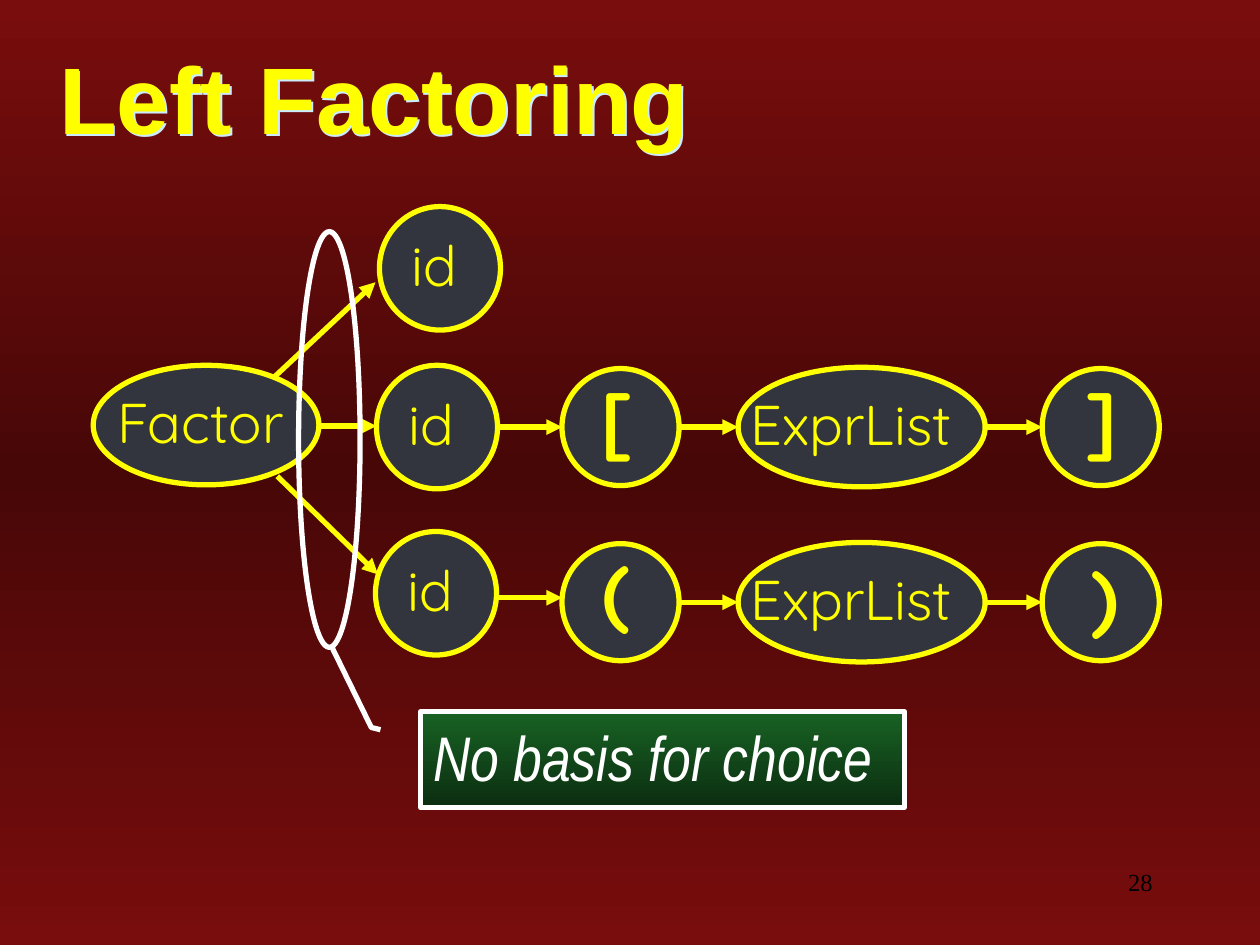
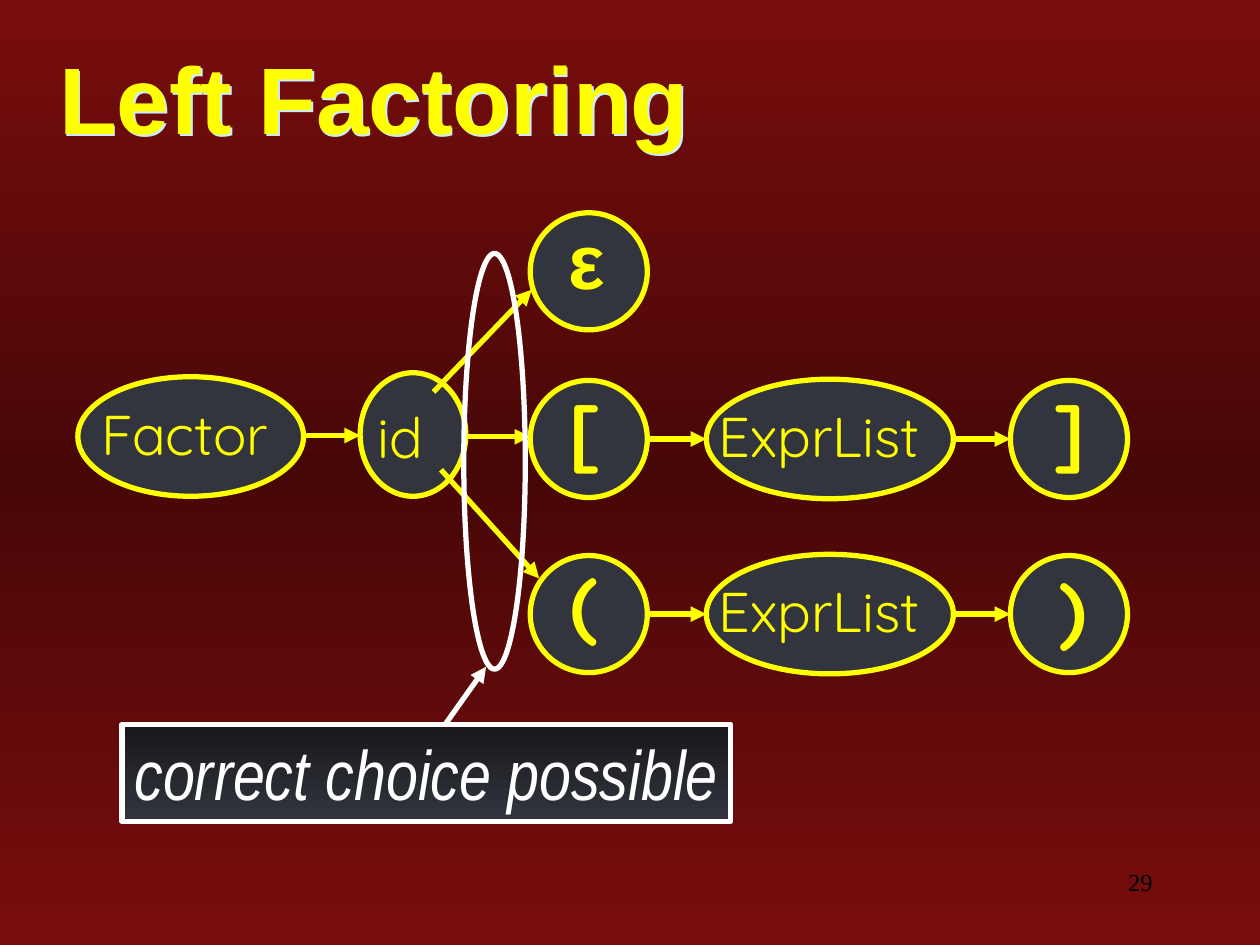
from lxml import etree
from pptx import Presentation
from pptx.dml.color import RGBColor
from pptx.enum.shapes import MSO_CONNECTOR, MSO_SHAPE
from pptx.enum.text import MSO_ANCHOR, MSO_AUTO_SIZE, PP_ALIGN
from pptx.oxml.ns import qn
from pptx.util import Cm, Pt

OVAL, RECT, CALLOUT = MSO_SHAPE.OVAL, MSO_SHAPE.RECTANGLE, MSO_SHAPE.LINE_CALLOUT_2
STRAIGHT = MSO_CONNECTOR.STRAIGHT
LEFT, RIGHT = PP_ALIGN.LEFT, PP_ALIGN.RIGHT
TOP, MIDDLE = MSO_ANCHOR.TOP, MSO_ANCHOR.MIDDLE
NO_FIT = MSO_AUTO_SIZE.NONE

YELLOW, WHITE, BLACK, SLATE = "FFFF00", "FFFFFF", "000000", "32353E"
TITLE_SHADOW = "CCECFF"
BACKGROUND = ["790D0D", "480707", "790D0D"]
GREEN_FADE = ["186224", "0B2D10"]
SLATE_FADE = ["17181C", SLATE]
CHOICE_SIZE = (1.24, 8.38)

# All lengths are in cm.
# kind: label, node width and height, label offset from the node's corner,
# label width, font, size, bold
KINDS = {
    "Factor": ("Factor", 4.55, 2.41, 0.23, 0.33, 5.59, "Quicksand", 32, False),
    "ExprList": ("ExprList", 4.98, 2.41, 0, 0.33, 5.59, "Quicksand", 32, False),
    "id": ("id", 2.44, 2.49, 0.4, 0.36, 2.77, "Quicksand", 32, False),
    "narrow id": ("id", 2.13, 2.49, 0.1, 0.48, 6.5, "Quicksand", 32, False),
    "[": ("[", 2.36, 2.36, 0.53, -0.08, 1.7, "Quicksand", 44, True),
    "]": ("]", 2.36, 2.36, 0.64, -0.08, 1.7, "Quicksand", 44, True),
    "(": ("(", 2.36, 2.36, 0.56, -0.13, 1.45, "Quicksand", 44, True),
    ")": (")", 2.36, 2.36, 0.74, -0.03, 1.45, "Quicksand", 44, True),
    "ε": ("ε", 2.36, 2.36, 0.53, -0.13, 1.35, "Arial", 44, True),
}


def bracketed(opening, closing, x, y):
    """Nodes for an ExprList between two brackets, centred on height y."""
    return [(opening, x, y), ("ExprList", x + 3.55, y), (closing, x + 9.68, y)]


# A chain is a row of nodes (kind, left, centre height) joined by arrows.
SLIDES = [
    {
        "title": "Left Factoring",
        "number": "28",
        "chains": [
            [("id", 7.65, 5.41)],
            [("Factor", 1.88, 8.57), ("id", 7.59, 8.61),
             *bracketed("[", "]", 11.33, 8.61)],
            [("id", 7.57, 11.96), *bracketed("(", ")", 11.33, 12.14)],
        ],
        "branches": [(5.54, 7.59, 7.57, 5.69), (5.59, 9.6, 7.62, 11.58)],
        "choice": (6.02, 4.67),
        "remark": ("No basis for choice", CALLOUT, (8.48, 14.35, 9.75, 1.93),
                   GREEN_FADE, 36),
        "callout": (0.188, -0.083, 0.164, -0.102, -0.671, -0.183),
    },
    {
        "title": "Left Factoring",
        "number": "29",
        "chains": [
            [("ε", 10.69, 5.47)],
            [("Factor", 1.57, 8.8), ("narrow id", 7.26, 8.76),
             *bracketed("[", "]", 10.69, 8.85)],
            bracketed("(", ")", 10.69, 12.38),
        ],
        "branches": [(8.74, 7.9, 10.72, 5.84), (8.89, 9.47, 10.87, 11.66)],
        "choice": (9.35, 5.11),
        "remark": ("correct choice possible", RECT, (2.46, 14.6, 12.27, 1.96),
                   SLATE_FADE, 40),
        "pointer": (8.99, 14.58, 9.8, 13.44),
    },
]


def rgb(colour):
    return RGBColor.from_string(colour)


def cm(*lengths):
    return [Cm(n) for n in lengths]


def fade(fill, element, colours):
    """Fill from top to bottom with evenly spaced colours."""
    fill.gradient()
    fill.gradient_angle = 270
    stops = element.find(".//" + qn("a:gsLst"))
    for stop in list(stops):
        stops.remove(stop)
    for i, colour in enumerate(colours):
        stop = etree.SubElement(stops, qn("a:gs"),
                                pos=str(100000 * i // (len(colours) - 1)))
        etree.SubElement(stop, qn("a:srgbClr"), val=colour)


def write(s, text, font, size, colour, bold=False, italic=False,
          align=LEFT, anchor=TOP, wrap=True):
    tf = s.text_frame
    tf.text = text
    tf.word_wrap = wrap
    tf.auto_size = NO_FIT
    tf.vertical_anchor = anchor
    p = tf.paragraphs[0]
    p.alignment = align
    p.font.name = font
    p.font.size = Pt(size)
    p.font.bold = bold
    p.font.italic = italic
    p.font.color.rgb = rgb(colour)


def add_outlined(sp, preset, box, colour):
    s = sp.add_shape(preset, *cm(*box))
    s.shadow.inherit = False
    s.line.color.rgb = rgb(colour)
    s.line.width = Pt(3)
    return s


def add_arrow(sp, ends, colour=YELLOW):
    c = sp.add_connector(STRAIGHT, *cm(*ends))
    c.line.color.rgb = rgb(colour)
    c.line.width = Pt(3)
    props = c.element.spPr
    etree.SubElement(props.find(qn("a:ln")), qn("a:tailEnd"), type="triangle")
    etree.SubElement(props, qn("a:effectLst"))


def add_node(sp, kind, left, centre):
    label, w, h, dx, dy, label_w, font, size, bold = KINDS[kind]
    top = centre - h / 2
    s = add_outlined(sp, OVAL, (left, top, w, h), YELLOW)
    s.fill.solid()
    s.fill.fore_color.rgb = rgb(SLATE)
    tb = sp.add_textbox(*cm(left + dx, top + dy, label_w, size * 0.05))
    write(tb, label, font, size, YELLOW, bold)


def add_chain(sp, chain):
    for node in chain:
        add_node(sp, *node)
    for (kind, left, y), (_, next_left, next_y) in zip(chain, chain[1:]):
        middle = (y + next_y) / 2
        add_arrow(sp, (left + KINDS[kind][1], middle, next_left, middle))


def add_title(slide, text):
    s = slide.shapes.title
    s.left, s.top, s.width, s.height = cm(0.94, 0.89, 25.4, 2.11)
    write(s, text, "Arial", 54, YELLOW, bold=True, anchor=MIDDLE)
    effects = etree.SubElement(s.element.spPr, qn("a:effectLst"))
    shadow = etree.SubElement(effects, qn("a:outerShdw"), dist="17961",
                              dir="2700000", algn="ctr", rotWithShape="0")
    etree.SubElement(shadow, qn("a:srgbClr"), val=TITLE_SHADOW)


def add_remark(sp, text, preset, box, colours, size, adjustments):
    s = add_outlined(sp, preset, box, WHITE)
    for i, value in enumerate(adjustments):
        s.adjustments[i] = value
    fade(s.fill, s.element, colours)
    write(s, text, "Arial Narrow", size, WHITE, italic=True, wrap=preset != RECT)


def build_slide(prs, content):
    slide = prs.slides.add_slide(prs.slide_layouts.get_by_name("Title Only"))
    sp = slide.shapes
    add_title(slide, content["title"])
    for chain in content["chains"]:
        add_chain(sp, chain)
    for ends in content["branches"]:
        add_arrow(sp, ends)
    choice = add_outlined(sp, OVAL, content["choice"] + CHOICE_SIZE, WHITE)
    choice.fill.background()
    add_remark(sp, *content["remark"], content.get("callout", ()))
    if "pointer" in content:
        add_arrow(sp, content["pointer"], WHITE)
    number = sp.add_textbox(*cm(18.21, 17.35, 5.28, 1.27))
    write(number, content["number"], "Times New Roman", 14, BLACK, align=RIGHT)


def main():
    prs = Presentation()
    prs.slide_width, prs.slide_height = cm(25.4, 19.05)
    master = prs.slide_master
    fade(master.background.fill, master.element, BACKGROUND)
    for content in SLIDES:
        build_slide(prs, content)
    prs.save("out.pptx")


if __name__ == "__main__":
    main()
